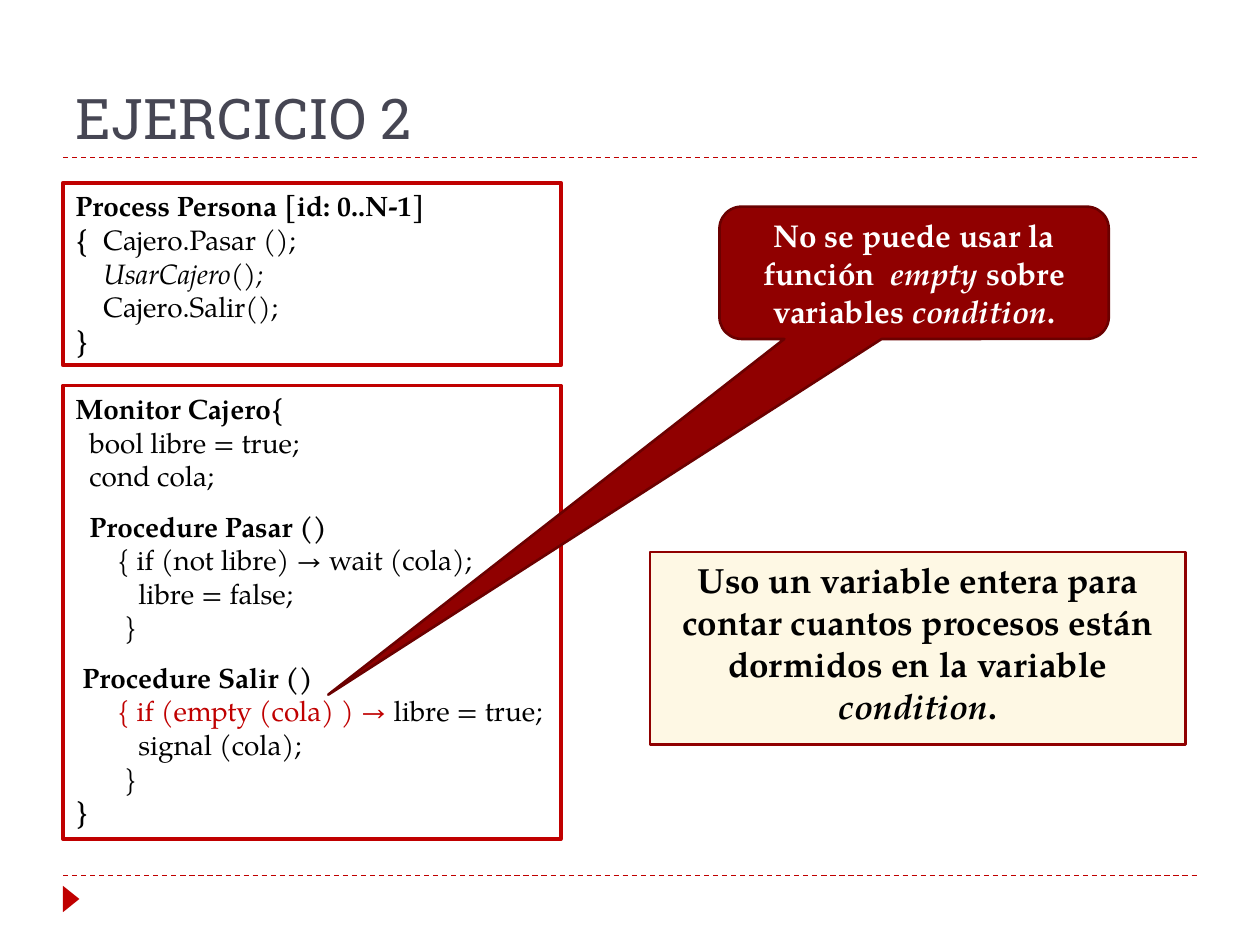
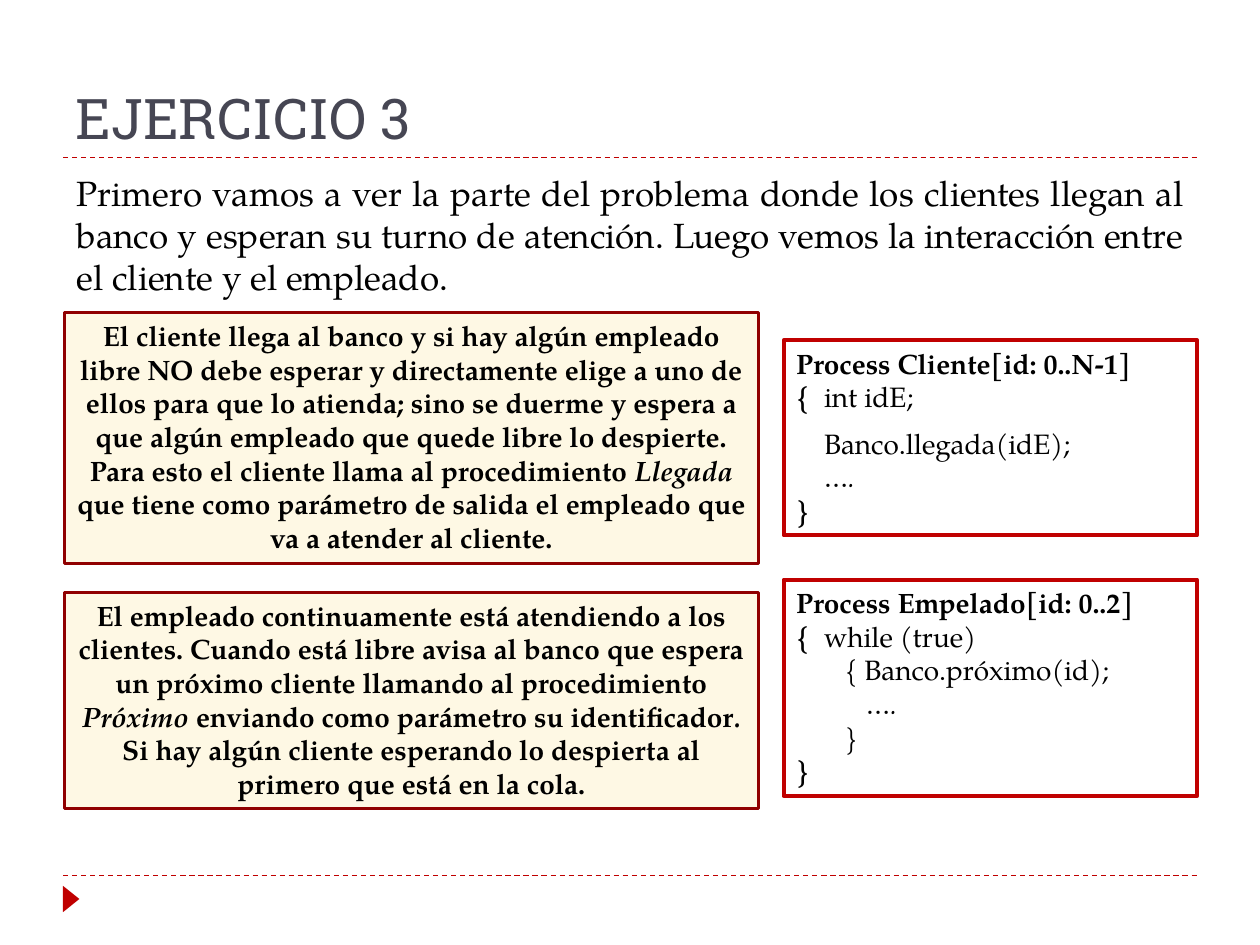
from lxml.etree import SubElement
from pptx import Presentation
from pptx.dml.color import RGBColor
from pptx.enum.dml import MSO_LINE
from pptx.enum.shapes import MSO_CONNECTOR as Connector, MSO_SHAPE as Shape
from pptx.enum.text import MSO_ANCHOR as Anchor, MSO_AUTO_SIZE as AutoSize, PP_ALIGN as Align
from pptx.oxml.ns import qn
from pptx.util import Pt

# Shared look
RED, DARK_RED, EDGE_RED = "C00000", "900000", "6B0000"
CREAM, SLATE, BLACK, WHITE = "FEF8E4", "464653", "000000", "FFFFFF"
TITLE_FONT, BODY_FONT = "Roboto Slab", "TeX Gyre Pagella"
LEFT, RIGHT = 36, 684
TITLE_RULE, FOOTER_RULE = 90, 500.4
BRACE = 16      # hanging indent after an opening brace

# Box styles: fill, line, line width, anchor, alignment, text colour, space before
STYLES = {
    "code": (None, RED, 2.25, Anchor.TOP, Align.LEFT, BLACK, 0),
    "note": (CREAM, DARK_RED, 1.5, Anchor.TOP, Align.CENTER, BLACK, 6),
    "callout": (DARK_RED, EDGE_RED, 1.5, Anchor.MIDDLE, Align.CENTER, WHITE, 0),
    "body": (None, None, 0, Anchor.TOP, Align.JUSTIFY, BLACK, 0),
}

# Content: a line is (indent, extra space before, runs);
# a run is (text, marks), marks being b bold, i italic, r red
PERSON = [
    (0, 0, [("Process Persona [id: 0..N-1]", "b")]),
    (BRACE, 0, [("{\t", "b"), ("Cajero.Pasar ();", "")]),
    (BRACE, 0, [("UsarCajero();", "i")]),
    (BRACE, 0, [("Cajero.Salir();", "")]),
    (0, 0, [("}", "b")]),
]
MONITOR = [
    (0, 0, [("Monitor Cajero{", "b")]),
    (8, 0, [("bool libre = true;", "")]),
    (8, 0, [("cond cola;", "")]),
    (8, 9.6, [("Procedure Pasar ()", "b")]),
    (24, 0, [("{ if (not libre) → wait (cola);", "")]),
    (36, 0, [("libre = false;", "")]),
    (28, 0, [("}", "")]),
    (4, 9.6, [("Procedure Salir ()", "b")]),
    (24, 0, [("{ if (empty (cola) ) → ", "r"), ("libre = true;", "")]),
    (36, 0, [("signal (cola);", "")]),
    (28, 0, [("}", "")]),
    (0, 0, [("}", "b")]),
]
CLIENT = [
    (0, 0, [("Process Cliente[id: 0..N-1]", "b")]),
    (BRACE, 0, [("{\t", "b"), ("int idE;", "")]),
    (BRACE, 7.2, [("Banco.llegada(idE);", "")]),
    (BRACE, 0, [("….", "i")]),
    (0, 0, [("}", "b")]),
]
EMPLOYEE = [
    (0, 0, [("Process Empelado[id: 0..2]", "b")]),
    (BRACE, 0, [("{\t", "b"), ("while (true)", "")]),
    (28, 0, [("{ Banco.próximo(id);", "")]),
    (40, 0, [("….", "i")]),
    (28, 0, [("}", "i")]),
    (0, 0, [("}", "b")]),
]
WARNING = [(0, 0, [
    ("No se puede usar la función  ", "b"), ("empty ", "bi"),
    ("sobre variables ", "b"), ("condition", "bi"), (".", "b")])]
COUNTER_NOTE = [(0, 0, [
    ("Uso un variable entera para contar cuantos procesos están dormidos "
     "en la variable ", "b"), ("condition", "bi"), (".", "b")])]
INTRO = [(0, 0, [
    ("Primero vamos a ver la parte del problema donde los clientes llegan al "
     "banco y esperan su turno de atención. Luego vemos la interacción entre "
     "el cliente y el empleado.", "")])]
CLIENT_NOTE = [(0, 0, [
    ("El cliente llega al banco y si hay algún empleado libre NO debe esperar y "
     "directamente elige a uno de ellos para que lo atienda; sino se duerme y "
     "espera a que algún empleado que quede libre lo despierte. Para esto el "
     "cliente llama al procedimiento ", "b"), ("Llegada", "bi"),
    (" que tiene como parámetro de salida el empleado que va a atender al "
     "cliente.", "b")])]
EMPLOYEE_NOTE = [(0, 0, [
    ("El empleado continuamente está atendiendo a los clientes. Cuando está "
     "libre avisa al banco que espera un próximo cliente llamando al "
     "procedimiento ", "b"), ("Próximo ", "bi"),
    ("enviando como parámetro su identificador", "b"), (". ", "bi"),
    ("Si hay algún cliente esperando lo despierta al primero que está en la "
     "cola.", "b")])]

# Slides: title and boxes (style, left, top, width, height, text size, lines)
CODE_WIDTH = 284.4
NOTE_LEFT, NOTE_WIDTH = 36.7, 396.7
PROCESS_LEFT = 447.8
PROCESS_WIDTH = RIGHT - PROCESS_LEFT
SLIDES = [
    ("EJERCICIO 2", [
        ("code", LEFT, 220.3, CODE_WIDTH, 259.2, 16, MONITOR),
        ("code", LEFT, 104.4, CODE_WIDTH, 104.4, 16, PERSON),
        ("callout", 411.1, 118.1, 222.5, 75.6, 18, WARNING),
        ("note", 371.5, 315.4, 306, 110.2, 20, COUNTER_NOTE),
    ]),
    ("EJERCICIO 3", [
        ("body", NOTE_LEFT, 94.3, 647.3, 79.9, 20, INTRO),
        ("code", PROCESS_LEFT, 194.4, PROCESS_WIDTH, 111.6, 16, CLIENT),
        ("note", NOTE_LEFT, 178.6, NOTE_WIDTH, 143.3, 16, CLIENT_NOTE),
        ("note", NOTE_LEFT, 338.4, NOTE_WIDTH, 123.8, 16, EMPLOYEE_NOTE),
        ("code", PROCESS_LEFT, 331.2, PROCESS_WIDTH, 123.8, 16, EMPLOYEE),
    ]),
]
POINTER_TIP = (187.5, 397)      # just above the red code, clear of the wait line
CORNER = 0.167


def colour(value):
    return RGBColor.from_string(value)


def apply(target, values):
    for name, value in values.items():
        setattr(target, name, value)


def paint(shape, fill, line, width=0):
    shape.shadow.inherit = False
    if fill:
        shape.fill.solid()
        shape.fill.fore_color.rgb = colour(fill)
    else:
        shape.fill.background()
    if line:
        shape.line.color.rgb = colour(line)
        shape.line.width = Pt(width)
    else:
        shape.line.fill.background()


def add_run(paragraph, text, font, size, text_colour, marks=""):
    run = paragraph.add_run()
    run.text = text
    apply(run.font, {"name": font, "size": Pt(size),
                     "bold": "b" in marks, "italic": "i" in marks})
    run.font.color.rgb = colour(RED if "r" in marks else text_colour)


def add_box(slide, style, left, top, width, height, size, lines):
    fill, line, line_width, anchor, align, text_colour, before = STYLES[style]
    frame = [Pt(value) for value in (left, top, width, height)]
    if style == "body":
        shape = slide.shapes.add_textbox(*frame)
    else:
        kind = Shape.ROUNDED_RECTANGULAR_CALLOUT if style == "callout" else Shape.RECTANGLE
        shape = slide.shapes.add_shape(kind, *frame)
        paint(shape, fill, line, line_width)
    if style == "callout":
        tip_x, tip_y = POINTER_TIP
        adjustments = ((tip_x - left) / width - 0.5, (tip_y - top) / height - 0.5, CORNER)
        for index, value in enumerate(adjustments):
            shape.adjustments[index] = value
    text_frame = shape.text_frame
    apply(text_frame, {"word_wrap": True, "vertical_anchor": anchor})
    for index, (indent, gap, runs) in enumerate(lines):
        paragraph = text_frame.add_paragraph() if index else text_frame.paragraphs[0]
        apply(paragraph, {"alignment": align, "space_before": Pt(before + gap)})
        if indent:
            hanging = indent if runs[0][0].endswith("\t") else 0
            properties = paragraph._p.get_or_add_pPr()
            properties.set("marL", str(Pt(indent)))
            properties.set("indent", str(-Pt(hanging)))
        for text, marks in runs:
            add_run(paragraph, text, BODY_FONT, size, text_colour, marks)


def add_frame(slide, text):
    # Dashed rules, without the theme's line style, and page marker
    for y in (FOOTER_RULE, TITLE_RULE):
        rule = slide.shapes.add_connector(
            Connector.STRAIGHT, Pt(LEFT), Pt(y), Pt(RIGHT), Pt(y))
        rule._element.remove(rule._element.find(qn("p:style")))
        rule.line.color.rgb = colour(RED)
        apply(rule.line, {"width": Pt(0.75), "dash_style": MSO_LINE.DASH})
        SubElement(rule._element.spPr, qn("a:effectLst"))
    marker = slide.shapes.add_shape(
        Shape.ISOSCELES_TRIANGLE, Pt(33.1), Pt(509), Pt(15.1), Pt(9.4))
    marker.rotation = 90
    paint(marker, RED, None)
    # Title
    title = slide.shapes.title
    apply(title, {"left": Pt(LEFT), "top": Pt(12.2),
                  "width": Pt(RIGHT - LEFT), "height": Pt(77.8)})
    apply(title.text_frame, {"vertical_anchor": Anchor.BOTTOM, "word_wrap": True,
                             "auto_size": AutoSize.NONE})
    paragraph = title.text_frame.paragraphs[0]
    paragraph.alignment = Align.LEFT
    add_run(paragraph, text, TITLE_FONT, 32, SLATE)


# Build
presentation = Presentation()
apply(presentation, {"slide_width": Pt(720), "slide_height": Pt(540)})
title_only = presentation.slide_layouts[5]
for title_text, boxes in SLIDES:
    slide = presentation.slides.add_slide(title_only)
    add_frame(slide, title_text)
    for box in boxes:
        add_box(slide, *box)
presentation.save("out.pptx")
